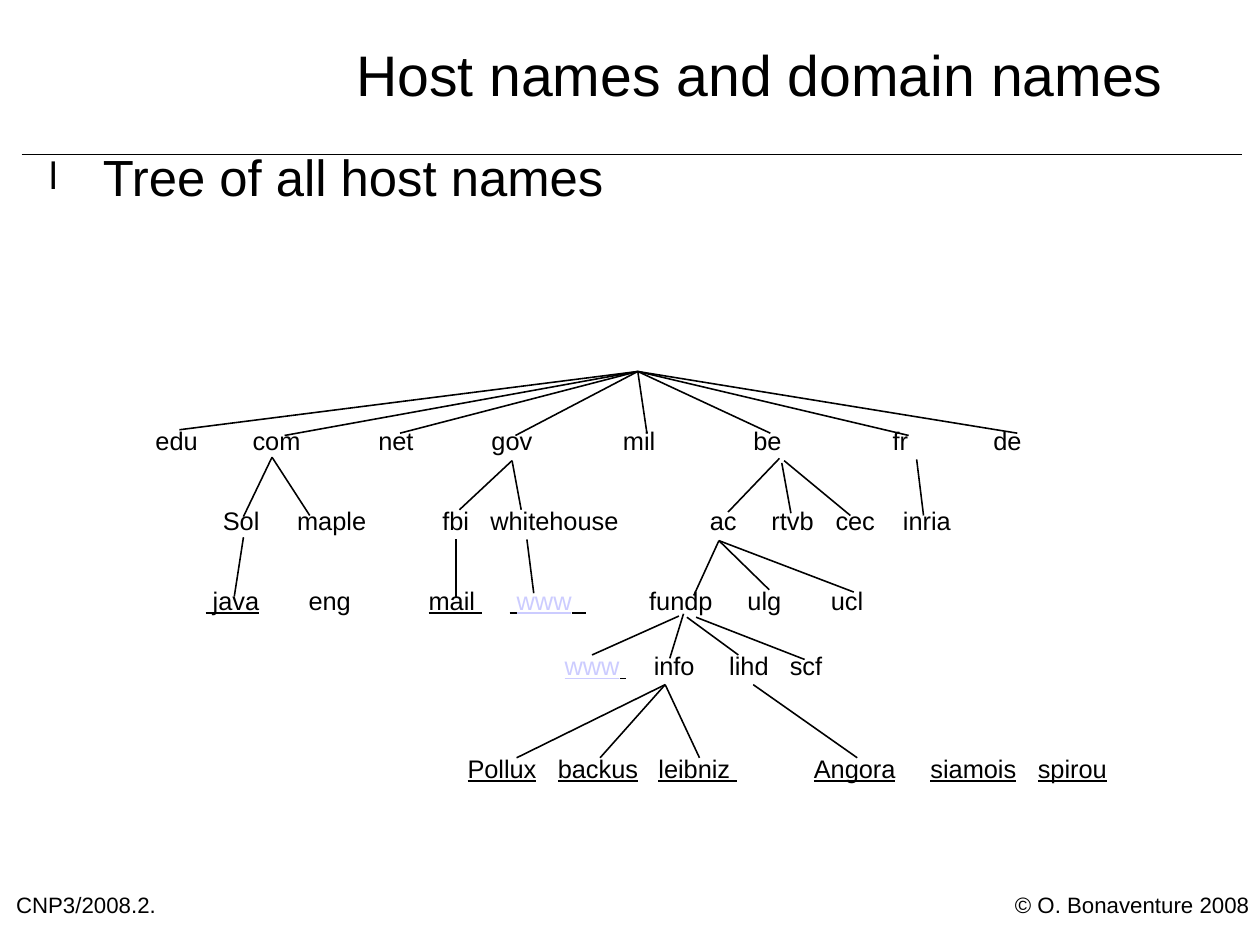
from lxml import etree
from pptx import Presentation, util as u
from pptx.dml.color import RGBColor
from pptx.enum import shapes, text
from pptx.oxml import ns

BLACK, LINK = "000000", "CCCCFF"

# Each level: left, top and width, then (left, label, underlined, colour)
LEVELS = [
    ((1.3, 3.76, 7.91), [(1.36, "edu"), (2.21, "com"), (3.31, "net"), (4.3, "gov"),
                         (5.45, "mil"), (6.59, "be"), (7.81, "fr"), (8.69, "de")]),
    ((1.34, 4.46, 7.74), [(1.95, "Sol"), (2.6, "maple"), (3.87, "fbi"),
                          (4.29, "whitehouse"), (6.21, "ac"), (6.75, "rtvb"),
                          (7.31, "cec"), (7.9, "inria")]),
    ((1.31, 5.16, 6.86), [(1.8, " java", True), (2.7, "eng"), (3.75, "mail ", True),
                          (4.46, " www  ", True, LINK), (5.68, "fundp"),
                          (6.54, "ulg"), (7.27, "ucl")]),
    ((4.94, 5.73, 2.27), [(4.94, "www ", True, LINK), (5.72, "info"),
                          (6.38, "lihd"), (6.91, "scf")]),
    ((3.54, 6.63, 2.98), [(4.09, "Pollux", True), (4.88, "backus", True),
                          (5.76, "leibniz ", True)]),
    ((6.57, 6.63, 3.19), [(7.12, "Angora", True), (8.14, "siamois", True),
                          (9.08, "spirou", True)]),
]

# Each branch: parent point, then the child points it reaches
BRANCHES = [
    ((5.58, 3.25), [(1.57, 3.76), (2.49, 3.81), (3.5, 3.79), (4.51, 3.81),
                    (5.66, 3.79), (6.74, 3.79), (7.95, 3.81), (8.9, 3.79)]),
    ((2.38, 4), [(2.13, 4.52), (2.71, 4.51)]),
    ((4.48, 4.03), [(4.02, 4.46), (4.56, 4.46)]),
    ((6.82, 4.01), [(6.37, 4.48)]),
    ((6.84, 4.05), [(6.92, 4.49)]),
    ((6.86, 4.03), [(7.44, 4.51)]),
    ((8.02, 4.02), [(8.08, 4.51)]),
    ((2.13, 4.7), [(2.05, 5.22)]),
    ((3.99, 4.72), [(3.99, 5.22)]),
    ((4.61, 4.72), [(4.67, 5.19)]),
    ((6.29, 4.73), [(6.07, 5.21), (6.73, 5.16), (7.47, 5.18)]),
    ((5.94, 5.39), [(5.18, 5.73)]),
    ((5.98, 5.37), [(5.86, 5.76)]),
    ((6.01, 5.4), [(6.46, 5.73)]),
    ((6.09, 5.4), [(7.04, 5.77)]),
    ((5.82, 5.99), [(4.52, 6.63), (5.25, 6.63), (6.12, 6.63)]),
    ((6.59, 5.99), [(7.5, 6.63)]),
]


def rgb(value):
    return RGBColor.from_string(value)


def add_element(parent, tag, **attributes):
    return etree.SubElement(parent, ns.qn(tag), attributes)


class SlideBuilder:
    """Holds the current slide and its shared text and line style."""
    font_name = "Arial"
    line_spacing = 0.84
    line_width = u.Pt(1)

    def __init__(self, slide):
        self.slide = slide

    def format_frame(self, shape, size):
        """Apply the shared style and return the first paragraph."""
        frame = shape.text_frame
        frame.margin_left = frame.margin_right = 0
        frame.margin_top = frame.margin_bottom = 0
        frame.word_wrap = True
        frame.auto_size = text.MSO_AUTO_SIZE.NONE
        paragraph = frame.paragraphs[0]
        paragraph.line_spacing = self.line_spacing
        paragraph.font.name = self.font_name
        paragraph.font.size = u.Pt(size)
        paragraph.font.color.rgb = rgb(BLACK)
        return paragraph

    def title(self, wording, left, top, width, height):
        shape = self.slide.shapes.title
        shape.left, shape.top = u.Inches(left), u.Inches(top)
        shape.width, shape.height = u.Inches(width), u.Inches(height)
        shape.text_frame.text = wording
        shape.text_frame.vertical_anchor = text.MSO_ANCHOR.MIDDLE
        self.format_frame(shape, 36).alignment = text.PP_ALIGN.CENTER

    def text_box(self, left, top, width, height):
        return self.slide.shapes.add_textbox(
            u.Inches(left), u.Inches(top), u.Inches(width), u.Inches(height))

    def label(self, wording, left, top, width, height):
        shape = self.text_box(left, top, width, height)
        shape.text_frame.text = wording
        self.format_frame(shape, 14)

    def bullet(self, wording, left, top, width, height):
        shape = self.text_box(left, top, width, height)
        shape.text_frame.text = wording
        properties = shape.text_frame.paragraphs[0]._p.get_or_add_pPr()
        properties.set("marL", str(u.Inches(0.55)))
        properties.set("indent", str(u.Inches(-0.47)))
        colour = add_element(properties, "a:buClr")
        add_element(colour, "a:srgbClr", val=BLACK)
        add_element(properties, "a:buSzPct", val="75000")
        add_element(properties, "a:buFont", typeface=self.font_name)
        add_element(properties, "a:buChar", char="l")
        self.format_frame(shape, 32)

    def name(self, paragraph, wording, underlined=False, colour=BLACK):
        """Add a name; spaces around it are underlined too but stay black."""
        word = wording.strip()
        pieces = wording.partition(word) if colour != BLACK else (wording,)
        for piece in filter(None, pieces):
            run = paragraph.add_run()
            run.text = piece
            if underlined:
                run.font.underline = True
            if colour != BLACK and piece == word:
                run.font.color.rgb = rgb(colour)

    def level(self, box, names):
        """Set one row of names, each at its own tab stop."""
        start, top, width = box
        shape = self.text_box(start, top, width, 0.22)
        paragraph = shape.text_frame.paragraphs[0]
        tabs = add_element(paragraph._p.get_or_add_pPr(), "a:tabLst")
        for left, *name in names:
            if left > start:
                add_element(tabs, "a:tab", pos=str(u.Inches(left - start)), algn="l")
                paragraph.add_run().text = "\t"
            self.name(paragraph, *name)
        self.format_frame(shape, 16)

    def line(self, start, end):
        points = [u.Inches(value) for value in (*start, *end)]
        connector = self.slide.shapes.add_connector(shapes.MSO_CONNECTOR.STRAIGHT, *points)
        connector.line.color.rgb = rgb(BLACK)
        connector.line.width = self.line_width
        add_element(connector._element.spPr, "a:effectLst")


def main():
    presentation = Presentation()
    # 28 by 21 centimetres
    presentation.slide_width = u.Inches(28 / 2.54)
    presentation.slide_height = u.Inches(21 / 2.54)
    builder = SlideBuilder(presentation.slides.add_slide(presentation.slide_layouts[5]))

    builder.line((0.19, 1.35), (10.87, 1.35))
    builder.label("© O. Bonaventure 2008", 8.88, 7.84, 2.1, 0.2)
    builder.label("CNP3/2008.2.", 0.14, 7.84, 1.68, 0.24)
    builder.title("Host names and domain names", 2.78, 0, 7.73, 1.38)
    builder.bullet("Tree of all host names", 0.35, 1.36, 10.23, 6.15)
    for box, names in LEVELS:
        builder.level(box, names)
    for parent, children in BRANCHES:
        for child in children:
            builder.line(parent, child)

    presentation.save("out.pptx")


if __name__ == "__main__":
    main()
